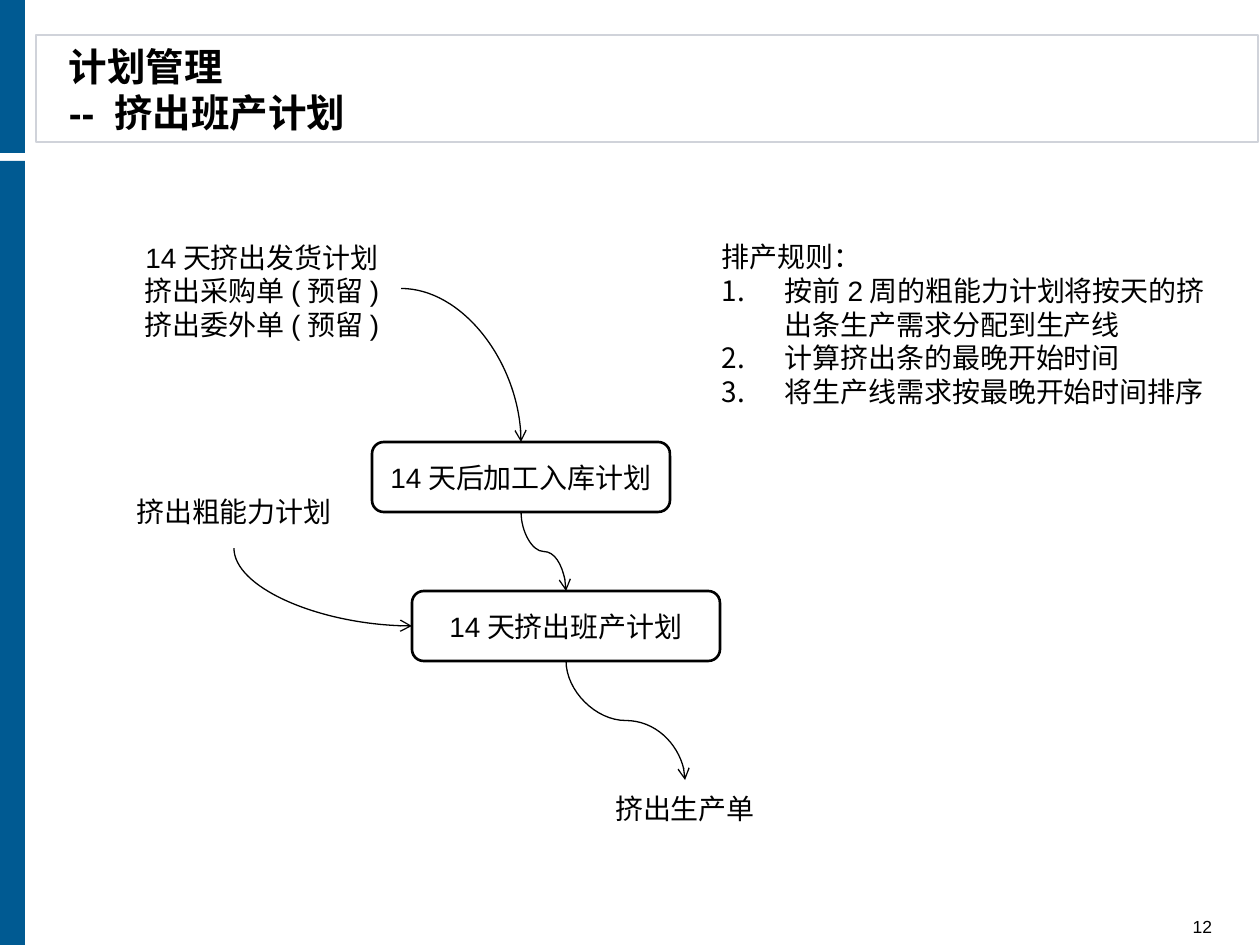
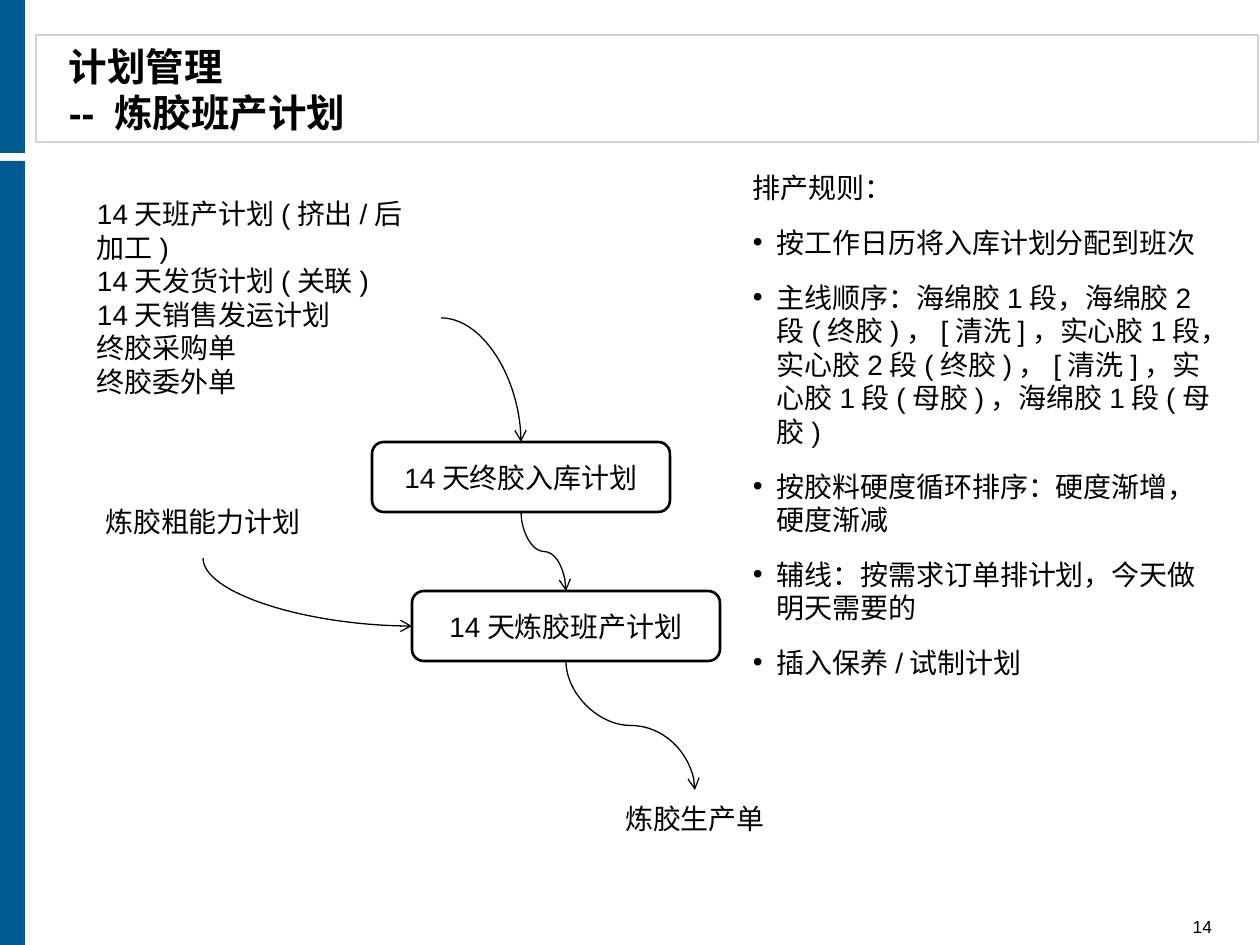
from dataclasses import dataclass

from lxml import etree
from pptx import Presentation
from pptx import util as u
from pptx.dml.color import RGBColor
from pptx.enum import lang, shapes, text
from pptx.oxml.ns import qn

PLANS = [
    dict(
        title="计划管理\v-- 挤出班产计划", page="12",
        demand=["14天挤出发货计划", "挤出采购单(预留)", "挤出委外单(预留)"],
        demand_at=(123, 214, 278, 149), demand_align="c", demand_top=34,
        stock="14天后加工入库计划",
        shift="14天挤出班产计划",
        load="挤出粗能力计划", load_at=(105, 483),
        order="挤出生产单", order_at=(551, 780),
        rules=["按前2周的粗能力计划将按天的挤出条生产需求分配到生产线",
               "计算挤出条的最晚开始时间",
               "将生产线需求按最晚开始时间排序"],
        rules_at=(709, 234, 515, 183), mark="number", indent=63, gap=0,
    ),
    dict(
        title="计划管理\v-- 炼胶班产计划", page="14",
        demand=["14天班产计划(挤出/后加工)", "14天发货计划(关联)",
                "14天销售发运计划", "终胶采购单", "终胶委外单"],
        demand_at=(84, 214, 357, 208), demand_align="l", demand_top=0,
        stock="14天终胶入库计划",
        shift="14天炼胶班产计划",
        load="炼胶粗能力计划", load_at=(74, 493),
        order="炼胶生产单", order_at=(561, 790),
        rules=["按工作日历将入库计划分配到班次",
               "主线顺序：海绵胶1段，海绵胶2段(终胶)，[清洗]，实心胶1段，实心胶2段(终胶)，"
               "[清洗]，实心胶1段(母胶)，海绵胶1段(母胶)",
               "按胶料硬度循环排序：硬度渐增，硬度渐减",
               "辅线：按需求订单排计划，今天做明天需要的",
               "插入保养/试制计划"],
        rules_at=(740, 165, 486, 491), mark="bullet", indent=24, gap=6,
    ),
]
RULES_HEAD = "排产规则："

# Shared places, in px
BARS = [(0, 161, 25, 784), (0, 0, 25, 153)]
BAND = (36, 35, 1222, 107)
TITLE = (56, 39, 794, 100)
PAGE = (1106, 915, 119, 22)
STOCK = (372, 442, 298, 70)
SHIFT = (412, 591, 308, 70)
LOAD_SIZE = (258, 70)
ORDER_SIZE = (268, 70)
INSET = 13
WAVE = 0.93  # height of the lower edge at the middle of a document shape


@dataclass(frozen=True)
class Theme:
    blue: RGBColor = RGBColor(0x00, 0x5A, 0x92)
    grey: RGBColor = RGBColor(0xD0, 0xD3, 0xDA)
    ink: RGBColor = RGBColor(0, 0, 0)
    paper: RGBColor = RGBColor(255, 255, 255)
    font: str = "Arial"
    head: int = 22
    body: int = 16
    note: int = 10
    thin: float = 0.75
    thick: float = 1.5


T = Theme()
KIND = shapes.MSO_SHAPE
ANCHOR = text.MSO_ANCHOR
ALIGN = {"l": text.PP_ALIGN.LEFT, "c": text.PP_ALIGN.CENTER,
         "r": text.PP_ALIGN.RIGHT}


def px(n):
    return u.Emu(round(n * 914400 / 126))


def write(shape, words, size=T.body, align="l", anchor=ANCHOR.MIDDLE,
          bold=False, top=0, bottom=0):
    frame = shape.text_frame
    frame.text = words
    frame.word_wrap = True
    frame.vertical_anchor = anchor
    frame.margin_left = frame.margin_right = px(INSET)
    frame.margin_top, frame.margin_bottom = px(top), px(bottom)
    for para in frame.paragraphs:
        para.alignment = ALIGN[align]
        for run in para.runs:
            font = run.font
            font.name, font.size, font.bold = T.font, u.Pt(size), bold
            font.color.rgb = T.ink
            font.language_id = lang.MSO_LANGUAGE_ID.SIMPLIFIED_CHINESE
    return frame


def shape(slide, kind, at, fill=T.paper, line=None, width=T.thin):
    item = slide.shapes.add_shape(kind, *map(px, at))
    item.shadow.inherit = False
    item.fill.solid()
    item.fill.fore_color.rgb = fill
    if line is None:
        item.line.fill.background()
    else:
        item.line.color.rgb = line
        item.line.width = u.Pt(width)
    return item


def label(slide, at, words, **style):
    return write(slide.shapes.add_textbox(*map(px, at)), words, **style)


def step(slide, at, words):
    box = shape(slide, KIND.ROUNDED_RECTANGLE, at, line=T.ink, width=T.thick)
    write(box, words, align="c")


def paper(slide, at, words, **style):
    write(shape(slide, KIND.FLOWCHART_DOCUMENT, at), words, **style)


def curve(slide, start, end, bend=False, down=True):
    """Arrow from start to end; bend turns once, down leaves vertically."""
    (x1, y1), (x2, y2) = start, end
    wide, high = x2 - x1, y2 - y1
    if down:
        mx, my = (x1 + x2) / 2, (y1 + y2) / 2
        wide, high = high, wide
        x1, y1 = mx - wide / 2, my - high / 2
    link = slide.shapes.add_connector(
        shapes.MSO_CONNECTOR.CURVE, px(x1), px(y1), px(x1 + wide), px(y1 + high))
    link.line.color.rgb = T.ink
    link.line.width = u.Pt(T.thin)
    props = link._element.spPr
    if down:
        turn = props.find(qn("a:xfrm"))
        turn.set("rot", "16200000")
        turn.set("flipH", "1")
    if bend:
        props.find(qn("a:prstGeom")).set("prst", "curvedConnector2")
    etree.SubElement(props.find(qn("a:ln")), qn("a:tailEnd"), type="arrow")
    etree.SubElement(props, qn("a:effectLst"))


def mid(at, part=0.0):
    """Point on the middle axis of a box, part of its height down."""
    left, top, wide, high = at
    return left + wide / 2, top + high * part


def rules(slide, plan):
    frame = label(slide, plan["rules_at"], "\n".join([RULES_HEAD, *plan["rules"]]),
                  anchor=ANCHOR.TOP, top=6, bottom=6)
    frame.auto_size = text.MSO_AUTO_SIZE.SHAPE_TO_FIT_TEXT
    for i, para in enumerate(frame.paragraphs):
        para.space_before = para.space_after = u.Pt(plan["gap"])
        if i == 0:
            continue
        props = para._p.get_or_add_pPr()
        props.set("marL", str(px(plan["indent"])))
        props.set("indent", str(-px(plan["indent"])))
        if plan["mark"] == "number":
            etree.SubElement(props, qn("a:buAutoNum"), type="arabicPeriod")
        else:
            etree.SubElement(props, qn("a:buFont"), typeface=T.font)
            etree.SubElement(props, qn("a:buChar"), char="•")


def base(slide, plan):
    shape(slide, KIND.RECTANGLE, BAND, line=T.grey)
    for bar in BARS:
        shape(slide, KIND.RECTANGLE, bar, fill=T.blue)
    label(slide, TITLE, plan["title"], size=T.head, bold=True)
    label(slide, PAGE, plan["page"], size=T.note, align="r", anchor=ANCHOR.BOTTOM)


def flow(slide, plan):
    need = plan["demand_at"]
    load = plan["load_at"] + LOAD_SIZE
    order = plan["order_at"] + ORDER_SIZE
    paper(slide, need, "\n".join(plan["demand"]),
          align=plan["demand_align"], top=plan["demand_top"])
    paper(slide, load, plan["load"], align="c")
    paper(slide, order, plan["order"], align="c")
    step(slide, STOCK, plan["stock"])
    step(slide, SHIFT, plan["shift"])

    side = (need[0] + need[2], need[1] + need[3] / 2)
    entry = (SHIFT[0], SHIFT[1] + SHIFT[3] / 2)
    curve(slide, side, mid(STOCK), bend=True, down=False)
    curve(slide, mid(STOCK, 1), mid(SHIFT))
    curve(slide, mid(SHIFT, 1), mid(order))
    curve(slide, mid(load, WAVE), entry, bend=True)


def main():
    deck = Presentation()
    deck.slide_width, deck.slide_height = px(1260), px(945)
    for plan in PLANS:
        slide = deck.slides.add_slide(deck.slide_layouts[6])
        base(slide, plan)
        flow(slide, plan)
        rules(slide, plan)
    deck.save("out.pptx")


if __name__ == "__main__":
    main()
